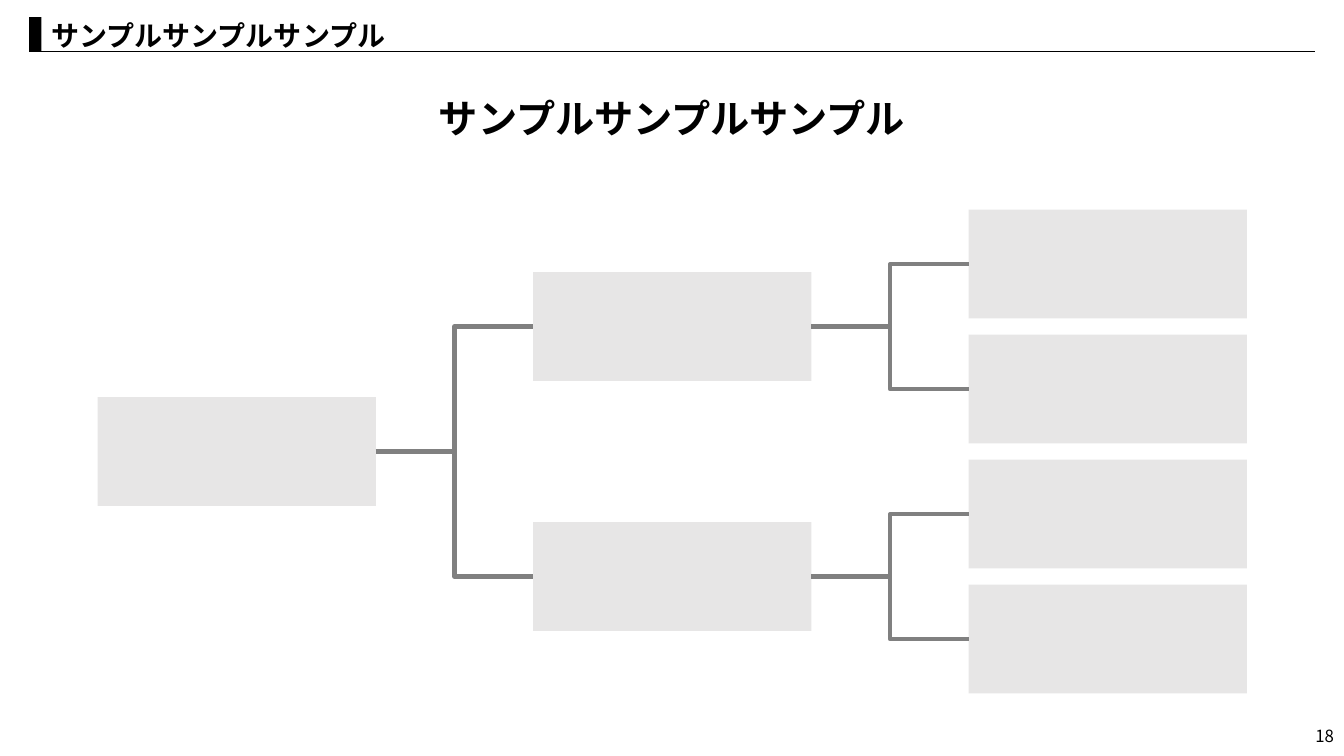
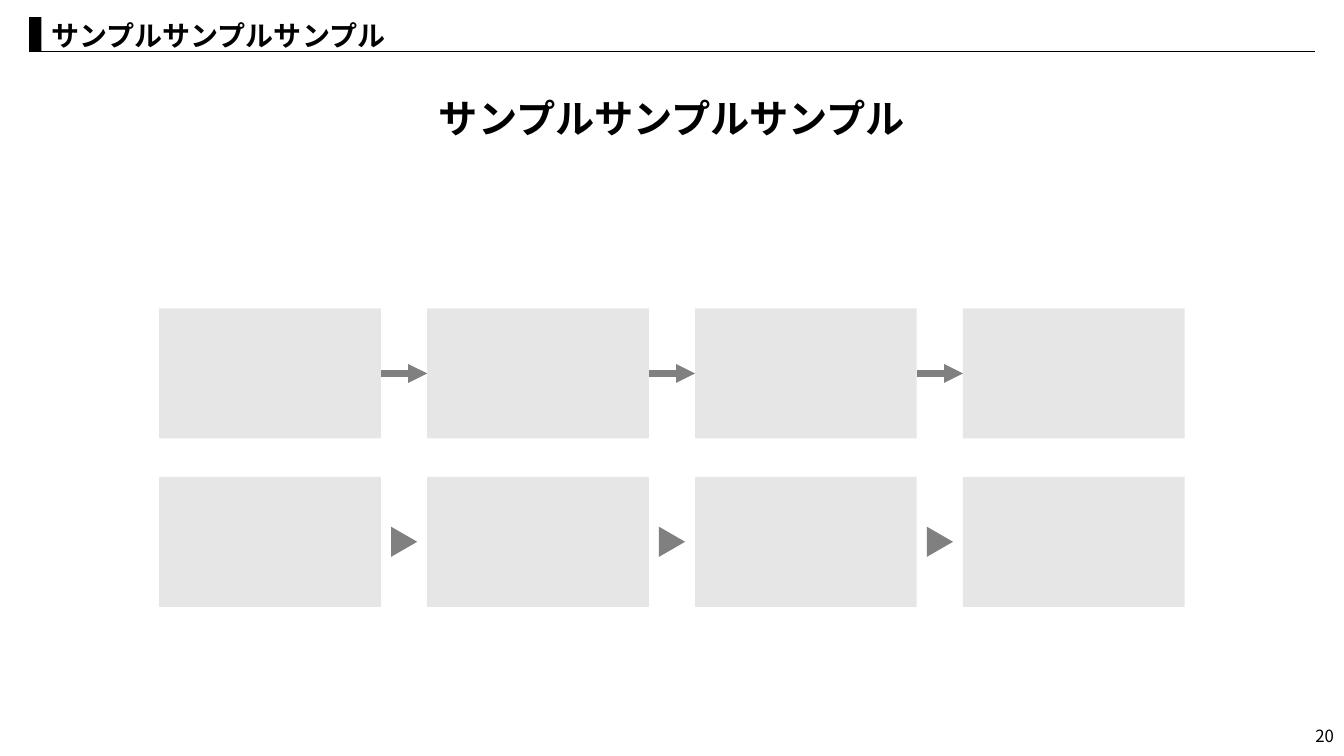
from dataclasses import dataclass

from lxml import etree
from pptx import Presentation
from pptx.dml.color import RGBColor
from pptx.enum.shapes import MSO_CONNECTOR, MSO_SHAPE
from pptx.enum.text import MSO_ANCHOR, PP_ALIGN
from pptx.oxml.ns import qn
from pptx.util import Inches, Pt

STRAIGHT, ELBOW = MSO_CONNECTOR.STRAIGHT, MSO_CONNECTOR.ELBOW
RECTANGLE, TRIANGLE = MSO_SHAPE.RECTANGLE, MSO_SHAPE.ISOSCELES_TRIANGLE
LEFT, CENTER, RIGHT = PP_ALIGN.LEFT, PP_ALIGN.CENTER, PP_ALIGN.RIGHT
TOP, MIDDLE = MSO_ANCHOR.TOP, MSO_ANCHOR.MIDDLE

SLIDE_W, SLIDE_H = 13.333, 7.5
FONT = "Noto Sans CJK JP"
COLORS = {"ink": "000000", "card": "E7E6E6", "link": "808080"}
HEADING = "サンプルサンプルサンプル"
LEFT_SITE, RIGHT_SITE = 1, 3


@dataclass(frozen=True)
class Box:
    left: float
    top: float
    width: float
    height: float


@dataclass(frozen=True)
class TextStyle:
    size: float
    bold: bool = False
    align: PP_ALIGN = LEFT
    anchor: MSO_ANCHOR = TOP
    wrap: bool = True


@dataclass(frozen=True)
class Grid:
    left: float
    top: float
    column_step: float
    row_step: float
    card_width: float
    card_height: float

    def cell(self, column: float, row: float) -> Box:
        return Box(self.left + column * self.column_step, self.top + row * self.row_step,
                   self.card_width, self.card_height)


SECTION_STYLE = TextStyle(20, bold=True)
TITLE_STYLE = TextStyle(28, bold=True, align=CENTER, wrap=False)
NUMBER_STYLE = TextStyle(12, align=RIGHT, anchor=MIDDLE)

TREE_LEVELS = 3
TREE = Grid(0.97, 2.08, 4.32, 1.24, 2.76, 1.08)

FLOW_STEPS = 4
FLOW_MARGIN = 1.58
FLOW_CARD_W = 2.2
FLOW_STEP = (SLIDE_W - 2 * FLOW_MARGIN - FLOW_CARD_W) / (FLOW_STEPS - 1)
FLOW = Grid(FLOW_MARGIN, 3.06, FLOW_STEP, 1.67, FLOW_CARD_W, 1.29)
MARKER_W, MARKER_H = 0.3, 0.26


def color(key: str) -> RGBColor:
    return RGBColor.from_string(COLORS[key])


def add_block(slide, box: Box, fill: str, kind=RECTANGLE):
    block = slide.shapes.add_shape(
        kind, *map(Inches, (box.left, box.top, box.width, box.height)))
    block.shadow.inherit = False
    block.fill.solid()
    block.fill.fore_color.rgb = color(fill)
    block.line.fill.background()
    return block


def add_text(slide, box: Box, text: str, style: TextStyle) -> None:
    frame = slide.shapes.add_textbox(
        *map(Inches, (box.left, box.top, box.width, box.height))).text_frame
    frame.word_wrap = style.wrap
    frame.vertical_anchor = style.anchor
    paragraph = frame.paragraphs[0]
    paragraph.text = text
    paragraph.alignment = style.align
    font = paragraph.font
    font.size = Pt(style.size)
    font.bold = style.bold
    font.color.rgb = color("ink")
    font.name = FONT
    defaults = paragraph._p.pPr.find(qn("a:defRPr"))
    etree.SubElement(defaults, qn("a:ea")).set("typeface", FONT)


def add_line(slide, kind, start: tuple[float, float], end: tuple[float, float],
             stroke: str, width: float, arrow: bool = False):
    line = slide.shapes.add_connector(kind, *map(Inches, (*start, *end)))
    line.line.color.rgb = color(stroke)
    line.line.width = Pt(width)
    if arrow:
        etree.SubElement(line.line._get_or_add_ln(), qn("a:tailEnd")).set("type", "triangle")
    etree.SubElement(line._element.spPr, qn("a:effectLst"))
    return line


def link_cards(slide, source, target, kind, width: float, arrow: bool = False) -> None:
    link = add_line(slide, kind, (0, 0), (1, 1), "link", width, arrow)
    link.begin_connect(source, RIGHT_SITE)
    link.end_connect(target, LEFT_SITE)


def add_base_slide(deck, number: int):
    slide = deck.slides.add_slide(deck.slide_layouts[6])
    add_text(slide, Box(SLIDE_W - 3, 7.1, 3, 0.4), str(number), NUMBER_STYLE)
    add_text(slide, Box((SLIDE_W - 4.91) / 2, 0.89, 4.91, 0.57), HEADING, TITLE_STYLE)
    add_line(slide, STRAIGHT, (0.29, 0.51), (SLIDE_W - 0.29, 0.51), "ink", 0.5)
    add_text(slide, Box(0.41, 0.13, 12.68, 0.44), HEADING, SECTION_STYLE)
    add_block(slide, Box(0.29, 0.17, 0.12, 0.34), "ink")
    return slide


def build_tree(deck) -> None:
    slide = add_base_slide(deck, 18)
    leaves = 2 ** (TREE_LEVELS - 1)
    levels = []
    for level in range(TREE_LEVELS):
        span = leaves / 2 ** level
        levels.append([add_block(slide, TREE.cell(level, (node + 0.5) * span - 0.5), "card")
                       for node in range(2 ** level)])
    for parents, children in zip(levels, levels[1:]):
        for index, child in enumerate(children):
            link_cards(slide, parents[index // 2], child, ELBOW, 3)


def build_flow(deck) -> None:
    slide = add_base_slide(deck, 20)
    arrow_row, _ = [[add_block(slide, FLOW.cell(step, row), "card")
                     for step in range(FLOW_STEPS)] for row in range(2)]
    for source, target in zip(arrow_row, arrow_row[1:]):
        link_cards(slide, source, target, STRAIGHT, 4.5, arrow=True)
    for step in range(FLOW_STEPS - 1):
        card = FLOW.cell(step, 1)
        gap_center = card.left + (FLOW.card_width + FLOW.column_step) / 2
        marker = add_block(slide, Box(gap_center - MARKER_W / 2,
                                      card.top + (card.height - MARKER_H) / 2,
                                      MARKER_W, MARKER_H), "link", TRIANGLE)
        marker.rotation = 90


def main() -> None:
    deck = Presentation()
    deck.slide_width, deck.slide_height = Inches(SLIDE_W), Inches(SLIDE_H)
    build_tree(deck)
    build_flow(deck)
    deck.save("out.pptx")


if __name__ == "__main__":
    main()
